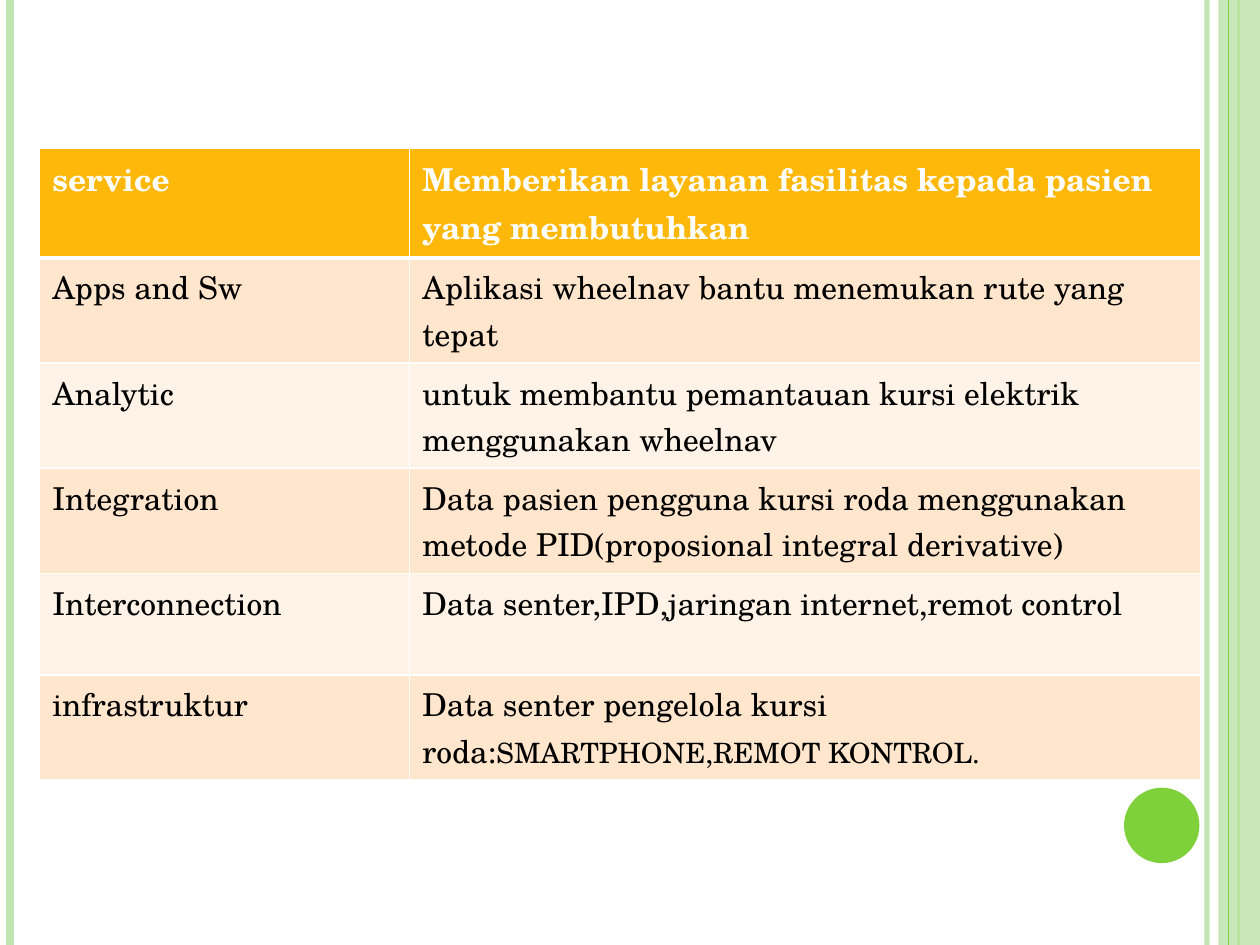
from dataclasses import dataclass
from typing import Optional

from lxml import etree
from pptx import Presentation
from pptx.dml.color import RGBColor
from pptx.enum.shapes import MSO_CONNECTOR, MSO_SHAPE
from pptx.oxml.ns import qn
from pptx.util import Cm, Pt

STRAIGHT = MSO_CONNECTOR.STRAIGHT
RECTANGLE = MSO_SHAPE.RECTANGLE
OVAL = MSO_SHAPE.OVAL

WHITE = RGBColor(0xFF, 0xFF, 0xFF)
BLACK = RGBColor(0x00, 0x00, 0x00)
GREEN = RGBColor(0x7F, 0xD1, 0x3B)
PALE_GREEN = RGBColor(0xC0, 0xE5, 0xAF)
AMBER = RGBColor(0xFE, 0xB8, 0x0A)
BANDS = (RGBColor(0xFF, 0xE6, 0xCC), RGBColor(0xFF, 0xF3, 0xE7))

FONT = "TeX Gyre Schola"
WIDTH, HEIGHT = 25.4, 19.05
ROW_HEIGHT = 2.05
COLUMN_WIDTHS = (7.46, 15.95)


@dataclass
class Stripe:
    """A full-height vertical line: position in cm, width in points."""
    x: float
    width: float
    color: RGBColor
    alpha: Optional[int] = None


@dataclass
class Block:
    """A filled shape with its place in cm."""
    kind: int
    left: float
    top: float
    width: float
    height: float
    color: RGBColor
    alpha: Optional[int] = None


@dataclass
class Row:
    """A table row; the tail follows the detail in smaller type."""
    label: str
    detail: str
    tail: str = ""


DECORATIONS = [
    Stripe(24.33, 3, PALE_GREEN, 93),
    Stripe(0.2, 4.5, PALE_GREEN),
    Stripe(24.97, 1.5, GREEN),
    Block(RECTANGLE, 24.56, 0, 0.84, HEIGHT, PALE_GREEN, 87),
    Stripe(24.77, 0.75, GREEN),
    Block(OVAL, 22.66, 15.88, 1.52, 1.52, GREEN),
]

ROWS = [
    Row("service", "Memberikan layanan fasilitas kepada pasien yang membutuhkan"),
    Row("Apps and Sw", "Aplikasi wheelnav bantu menemukan rute yang tepat"),
    Row("Analytic", "untuk membantu pemantauan kursi elektrik menggunakan wheelnav"),
    Row("Integration", "Data pasien pengguna kursi roda menggunakan metode "
        "PID(proposional integral derivative)"),
    Row("Interconnection", "Data senter,IPD,jaringan internet,remot control"),
    Row("infrastruktur", "Data senter pengelola kursi roda:",
        "SMARTPHONE,REMOT KONTROL."),
]


def set_alpha(sp, alpha: Optional[int]) -> None:
    """Make the colours of a shape partly transparent."""
    if alpha is not None:
        for color in sp._element.spPr.iter(qn("a:srgbClr")):
            etree.SubElement(color, qn("a:alpha")).set("val", str(alpha * 1000))


def add_stripe(s, stripe: Stripe) -> None:
    """Draw a vertical line from top to bottom of the slide."""
    line = s.shapes.add_connector(
        STRAIGHT, Cm(stripe.x), Cm(0), Cm(stripe.x), Cm(HEIGHT))
    line.line.color.rgb = stripe.color
    line.line.width = Pt(stripe.width)
    set_alpha(line, stripe.alpha)
    etree.SubElement(line._element.spPr, qn("a:effectLst"))


def add_block(s, block: Block) -> None:
    """Draw a filled shape without outline or shadow."""
    sp = s.shapes.add_shape(block.kind, Cm(block.left), Cm(block.top),
                            Cm(block.width), Cm(block.height))
    sp.shadow.inherit = False
    sp.fill.solid()
    sp.fill.fore_color.rgb = block.color
    sp.line.fill.background()
    set_alpha(sp, block.alpha)


def set_borders(cell, widths: dict) -> None:
    """Give a cell white borders, with widths in points by side."""
    tc_pr = cell._tc.get_or_add_tcPr()
    for side, width in widths.items():
        ln = etree.SubElement(tc_pr, qn(f"a:ln{side}"), w=str(Pt(width)))
        fill = etree.SubElement(ln, qn("a:solidFill"))
        etree.SubElement(fill, qn("a:srgbClr"), val=str(WHITE))


def add_run(p, text: str, size: float, color: RGBColor, bold: bool) -> None:
    """Add a formatted run to a paragraph."""
    r = p.add_run()
    r.text = text
    for name, value in {"name": FONT, "size": Pt(size), "bold": bold}.items():
        setattr(r.font, name, value)
    r.font.color.rgb = color


def add_service_table(s) -> None:
    """Build the table with a header row and banded body rows."""
    frame = s.shapes.add_table(
        len(ROWS), len(COLUMN_WIDTHS), Cm(0.8), Cm(2.98),
        Cm(sum(COLUMN_WIDTHS)), Cm(ROW_HEIGHT * len(ROWS)))
    table = frame.table
    for column, width in zip(table.columns, COLUMN_WIDTHS):
        column.width = Cm(width)
    for i, row in enumerate(ROWS):
        table.rows[i].height = Cm(ROW_HEIGHT)
        header = i == 0
        color = WHITE if header else BLACK
        for j, text in enumerate((row.label, row.detail)):
            cell = table.cell(i, j)
            set_borders(cell, {"L": 1, "R": 1, "T": 3 if i == 1 else 1,
                               "B": 3 if header else 1})
            cell.fill.solid()
            cell.fill.fore_color.rgb = AMBER if header else BANDS[(i - 1) % 2]
            p = cell.text_frame.paragraphs[0]
            add_run(p, text, 18, color, header)
            if j == 1 and row.tail:
                add_run(p, row.tail, 16, color, header)


def main() -> None:
    """Build and save the slide."""
    prs = Presentation()
    prs.slide_width, prs.slide_height = Cm(WIDTH), Cm(HEIGHT)
    s = prs.slides.add_slide(prs.slide_layouts[6])
    for item in DECORATIONS:
        if isinstance(item, Stripe):
            add_stripe(s, item)
        else:
            add_block(s, item)
    add_service_table(s)
    prs.save("out.pptx")


main()
